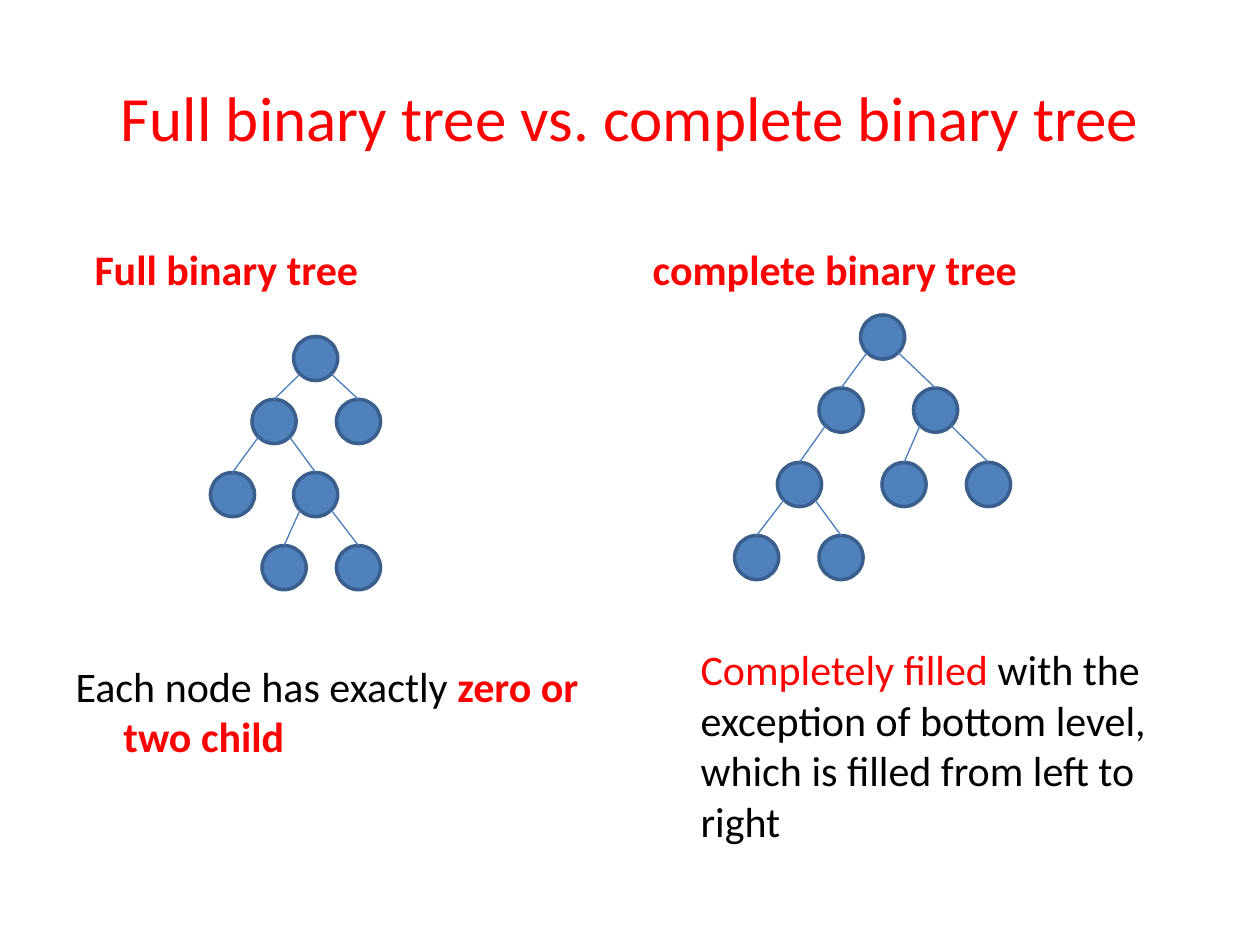
from math import sqrt

from lxml import etree
from pptx import Presentation
from pptx.dml.color import RGBColor
from pptx.enum.shapes import MSO_CONNECTOR, MSO_SHAPE
from pptx.enum.text import MSO_ANCHOR, MSO_AUTO_SIZE, PP_ALIGN
from pptx.oxml.ns import qn
from pptx.util import Inches, Pt

OVAL = MSO_SHAPE.OVAL
STRAIGHT = MSO_CONNECTOR.STRAIGHT
TOP, MIDDLE, BOTTOM = MSO_ANCHOR.TOP, MSO_ANCHOR.MIDDLE, MSO_ANCHOR.BOTTOM
LEFT, CENTER = PP_ALIGN.LEFT, PP_ALIGN.CENTER
RED, BLACK = "FF0000", "000000"
NODE_FILL, NODE_LINE, EDGE_LINE = "4F81BD", "3A5F8C", "4B7EBC"
NODE_SIZE = 0.35


def color(value):
    return RGBColor.from_string(value)


def fill_placeholder(box, at, anchor, align, size, spans, margin=0, indent=0):
    box.left, box.top, box.width, box.height = [Inches(v) for v in at]
    frame = box.text_frame
    frame.word_wrap = True
    frame.auto_size = MSO_AUTO_SIZE.NONE
    frame.vertical_anchor = anchor
    para = frame.paragraphs[0]
    para.alignment = align
    para.space_before = Pt(0)
    props = para._p.get_or_add_pPr()
    props.set("marL", str(Inches(margin)))
    props.set("indent", str(Inches(indent)))
    etree.SubElement(props, qn("a:buNone"))
    for text, value, bold in spans:
        span = para.add_run()
        span.text = text
        span.font.name = "Calibri"
        span.font.size = Pt(size)
        span.font.bold = bold
        span.font.color.rgb = color(value)


deck = Presentation()
deck.slide_width, deck.slide_height = Inches(10), Inches(7.5)
page = deck.slides.add_slide(deck.slide_layouts[4])
title, left_head, left_body, right_head, right_body = [
    page.placeholders[i] for i in range(5)]

# Title and column headings
fill_placeholder(title, (0.5, 0.3, 9, 1.25), MIDDLE, CENTER, 36,
                 [("Full binary tree vs. complete binary tree", RED, False)])
fill_placeholder(left_head, (0.5, 1.68, 4.42, 0.7), BOTTOM, LEFT, 24,
                 [("Full binary tree", RED, True)], margin=0.15)
fill_placeholder(right_head, (5.08, 1.68, 4.42, 0.7), BOTTOM, LEFT, 24,
                 [("complete binary tree", RED, True)])

# Definitions under the trees
fill_placeholder(left_body, (0.5, 5.19, 4.42, 1.51), TOP, LEFT, 24,
                 [("Each node has exactly ", BLACK, False),
                  ("zero or two child", RED, True)], margin=0.38, indent=-0.38)
fill_placeholder(right_body, (5.08, 5.06, 4.42, 1.64), TOP, LEFT, 24,
                 [("Completely filled ", RED, False),
                  ("with the exception of bottom level, which is filled "
                   "from left to right", BLACK, False)], margin=0.38)

# Trees: each node is (left, top, index of its parent)
full_tree = [
    (2.33, 2.67, None), (2, 3.17, 0), (2.67, 3.17, 0), (1.67, 3.75, 1),
    (2.33, 3.75, 1), (2.08, 4.33, 4), (2.67, 4.33, 4)]
complete_tree = [
    (6.83, 2.5, None), (6.5, 3.08, 0), (7.25, 3.08, 0), (6.17, 3.67, 1),
    (7, 3.67, 2), (7.67, 3.67, 2), (5.83, 4.25, 3), (6.5, 4.25, 3)]

radius = NODE_SIZE / 2
diagonal = radius / sqrt(2)
for tree in (full_tree, complete_tree):
    for x, y, parent in tree:
        node = page.shapes.add_shape(
            OVAL, Inches(x), Inches(y), Inches(NODE_SIZE), Inches(NODE_SIZE))
        node.shadow.inherit = False
        node.fill.solid()
        node.fill.fore_color.rgb = color(NODE_FILL)
        node.line.color.rgb = color(NODE_LINE)
        node.line.width = Pt(2)

        # Edge from the parent's lower side to the top of this node
        if parent is None:
            continue
        parent_x, parent_y, _ = tree[parent]
        side = -1 if x < parent_x else 1
        edge = page.shapes.add_connector(
            STRAIGHT,
            Inches(parent_x + radius + side * diagonal),
            Inches(parent_y + radius + diagonal),
            Inches(x + radius), Inches(y))
        edge.line.color.rgb = color(EDGE_LINE)
        edge.line.width = Pt(0.75)
        etree.SubElement(edge._element.spPr, qn("a:effectLst"))

deck.save("out.pptx")
